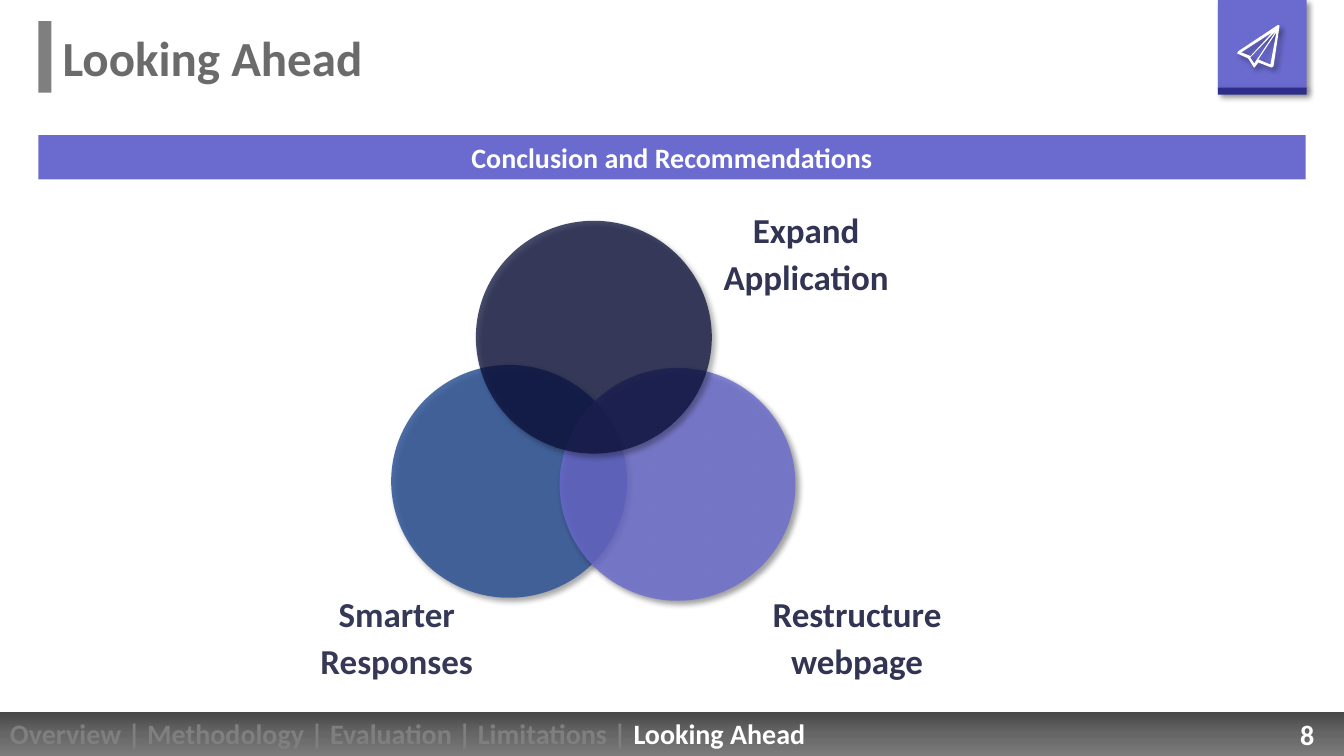
from dataclasses import dataclass
from typing import Optional

from lxml import etree
from pptx import Presentation
from pptx import util as u
from pptx.dml.color import RGBColor
from pptx.enum import shapes, text
from pptx.oxml import ns

FONT = "Calibri"
WHITE = RGBColor(0xFF, 0xFF, 0xFF)
VIOLET = RGBColor(0x6B, 0x6B, 0xCF)
DEEP_VIOLET = RGBColor(0x2D, 0x2D, 0x8A)
BLUE = RGBColor(0x2F, 0x54, 0x96)
NAVY = RGBColor(0x0B, 0x10, 0x3A)
LABEL_NAVY = RGBColor(0x31, 0x34, 0x53)
LABEL_SLATE = RGBColor(0x35, 0x38, 0x56)
GREY = RGBColor(0x7F, 0x7F, 0x7F)
TITLE_GREY = RGBColor(0x6B, 0x6B, 0x6B)
FOOTER_STOPS = [
    (0, RGBColor(0x47, 0x47, 0x47)),
    (50, RGBColor(0x66, 0x66, 0x66)),
    (100, RGBColor(0x7B, 0x7B, 0x7B)),
]
PLANE_CONTOURS = [
    [(1269, 25), (1267, 25), (1228, 51), (1227, 53), (1238, 58), (1243, 66),
     (1244, 67), (1245, 66), (1248, 62), (1261, 67), (1263, 66), (1269, 26)],
    [(1231, 52), (1262, 32), (1240, 56), (1239, 55)],
    [(1240, 57), (1266, 30), (1244, 63)],
    [(1260, 64), (1248, 59), (1266, 32)],
]


@dataclass
class Box:
    left: float
    top: float
    width: float
    height: float

    def lengths(self) -> list:
        return [u.Inches(n) for n in (self.left, self.top, self.width, self.height)]


@dataclass
class Circle:
    left: float
    top: float
    color: RGBColor
    opacity: int
    shadow: int = 40


@dataclass
class Label:
    wording: str
    box: Box
    color: RGBColor


CIRCLES = [
    Circle(3.88, 3.62, BLUE, 85),
    Circle(5.55, 3.65, VIOLET, 80, 45),
    Circle(4.72, 2.19, NAVY, 75),
]
LABELS = [
    Label("Expand Application", Box(7.14, 2.02, 1.71, 0.91), LABEL_NAVY),
    Label("Smarter Responses", Box(3.08, 5.83, 1.71, 0.91), LABEL_SLATE),
    Label("Restructure webpage", Box(7.57, 5.83, 1.86, 1.02), LABEL_NAVY),
]


def add_element(parent, tag: str, **attributes):
    return etree.SubElement(parent, ns.qn(tag), {k: str(v) for k, v in attributes.items()})


def paint(shape, color: RGBColor, opacity: int = 100, shadow: Optional[int] = None) -> None:
    shape.fill.solid()
    shape.fill.fore_color.rgb = color
    shape.line.fill.background()
    shape.shadow.inherit = False
    properties = shape.element.spPr
    if opacity < 100:
        srgb = properties.find(".//" + ns.qn("a:srgbClr"))
        add_element(srgb, "a:alpha", val=opacity * 1000)
    if shadow:
        effects = properties.find(ns.qn("a:effectLst"))
        outer = add_element(effects, "a:outerShdw", blurRad=u.Pt(4), dist=u.Pt(3),
                            dir=45 * 60000, algn="tl", rotWithShape=0)
        black = add_element(outer, "a:srgbClr", val="000000")
        add_element(black, "a:alpha", val=shadow * 1000)


def add_bar(parent, box: Box, color: RGBColor, shadow: Optional[int] = None):
    bar = parent.add_shape(shapes.MSO_SHAPE.RECTANGLE, *box.lengths())
    paint(bar, color, shadow=shadow)
    return bar


def style_run(run, size: int, color: RGBColor) -> None:
    run.font.name = FONT
    run.font.size = u.Pt(size)
    run.font.bold = True
    run.font.color.rgb = color


def write(shape, wording: str, size: int, color: RGBColor,
          align=text.PP_ALIGN.CENTER, anchor=text.MSO_ANCHOR.TOP,
          flush: bool = False, spacing: float = 1.0):
    frame = shape.text_frame
    frame.word_wrap = True
    frame.auto_size = text.MSO_AUTO_SIZE.NONE
    frame.vertical_anchor = anchor
    if flush:
        frame.margin_left = frame.margin_top = frame.margin_right = frame.margin_bottom = 0
    frame.text = wording
    paragraph = frame.paragraphs[0]
    paragraph.alignment = align
    paragraph.line_spacing = spacing
    style_run(paragraph.runs[0], size, color)
    return paragraph


def add_badge(slide) -> None:
    badge = slide.shapes.add_group_shape().shapes
    add_bar(badge, Box(12.08, 0, 0.88, 0.88), VIOLET, 40)
    add_bar(badge, Box(12.08, 0.87, 0.88, 0.07), DEEP_VIOLET, 40)
    outline, *folds = PLANE_CONTOURS
    builder = badge.build_freeform(*outline[0], scale=u.Inches(0.01))
    builder.add_line_segments(outline[1:], close=True)
    for fold in folds:
        builder.move_to(*fold[0])
        builder.add_line_segments(fold[1:], close=True)
    paint(builder.convert_to_shape(), WHITE, shadow=40)


def add_footer(slide) -> None:
    footer = add_bar(slide.shapes, Box(0, 7.06, 13.33, 0.44), GREY)
    footer.fill.gradient()
    footer.fill.gradient_angle = 270
    stops = footer.element.spPr.find(".//" + ns.qn("a:gsLst"))
    for stop in list(stops):
        stops.remove(stop)
    for position, color in FOOTER_STOPS:
        stop = add_element(stops, "a:gs", pos=position * 1000)
        add_element(stop, "a:srgbClr", val=color)
    page = slide.shapes.add_textbox(*Box(12.59, 7.07, 0.75, 0.44).lengths())
    write(page, "8", 20, WHITE)
    sections = slide.shapes.add_textbox(*Box(0, 7.06, 11.47, 0.44).lengths())
    trail = write(sections, "Overview | Methodology | Evaluation | Limitations | ",
                  20, GREY, text.PP_ALIGN.LEFT)
    current = trail.add_run()
    current.text = "Looking Ahead"
    style_run(current, 20, WHITE)


def add_venn(slide) -> None:
    venn = slide.shapes.add_group_shape().shapes
    for circle in CIRCLES:
        box = Box(circle.left, circle.top, 2.34, 2.31)
        oval = venn.add_shape(shapes.MSO_SHAPE.OVAL, *box.lengths())
        paint(oval, circle.color, circle.opacity, circle.shadow)
    for label in LABELS:
        caption = venn.add_textbox(*label.box.lengths())
        write(caption, label.wording, 25, label.color, flush=True, spacing=1.12)


def add_heading(slide) -> None:
    add_bar(slide.shapes, Box(0.38, 0.21, 0.13, 0.71), GREY)
    title = slide.shapes.title
    title.left, title.top, title.width, title.height = Box(0.62, 0.27, 5.72, 0.59).lengths()
    write(title, "Looking Ahead", 35, TITLE_GREY, text.PP_ALIGN.LEFT, flush=True)
    banner = add_bar(slide.shapes, Box(0.38, 1.34, 12.57, 0.44), VIOLET)
    write(banner, "Conclusion and Recommendations", 20, WHITE, anchor=text.MSO_ANCHOR.MIDDLE)


def main() -> None:
    deck = Presentation()
    deck.slide_width, deck.slide_height = u.Inches(13.33), u.Inches(7.5)
    slide = deck.slides.add_slide(deck.slide_layouts[5])
    add_badge(slide)
    add_footer(slide)
    add_venn(slide)
    add_heading(slide)
    deck.save("out.pptx")


if __name__ == "__main__":
    main()
